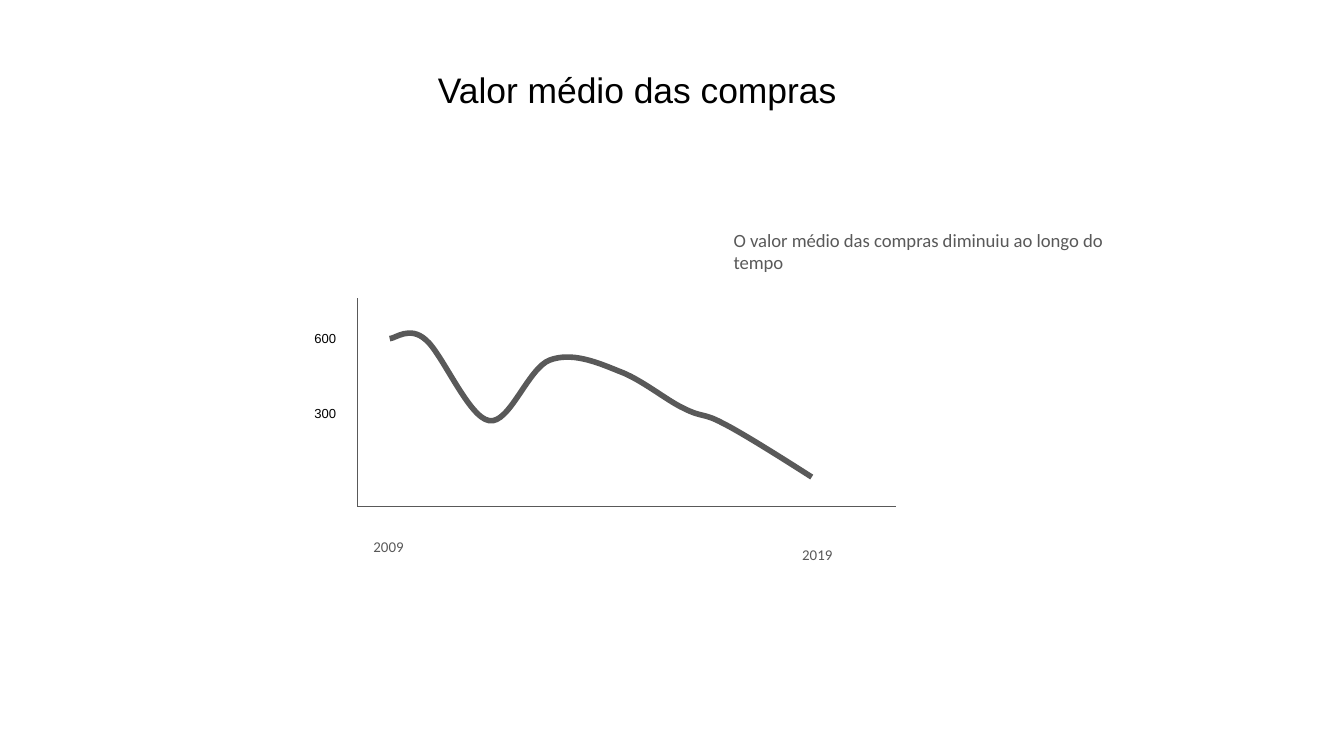
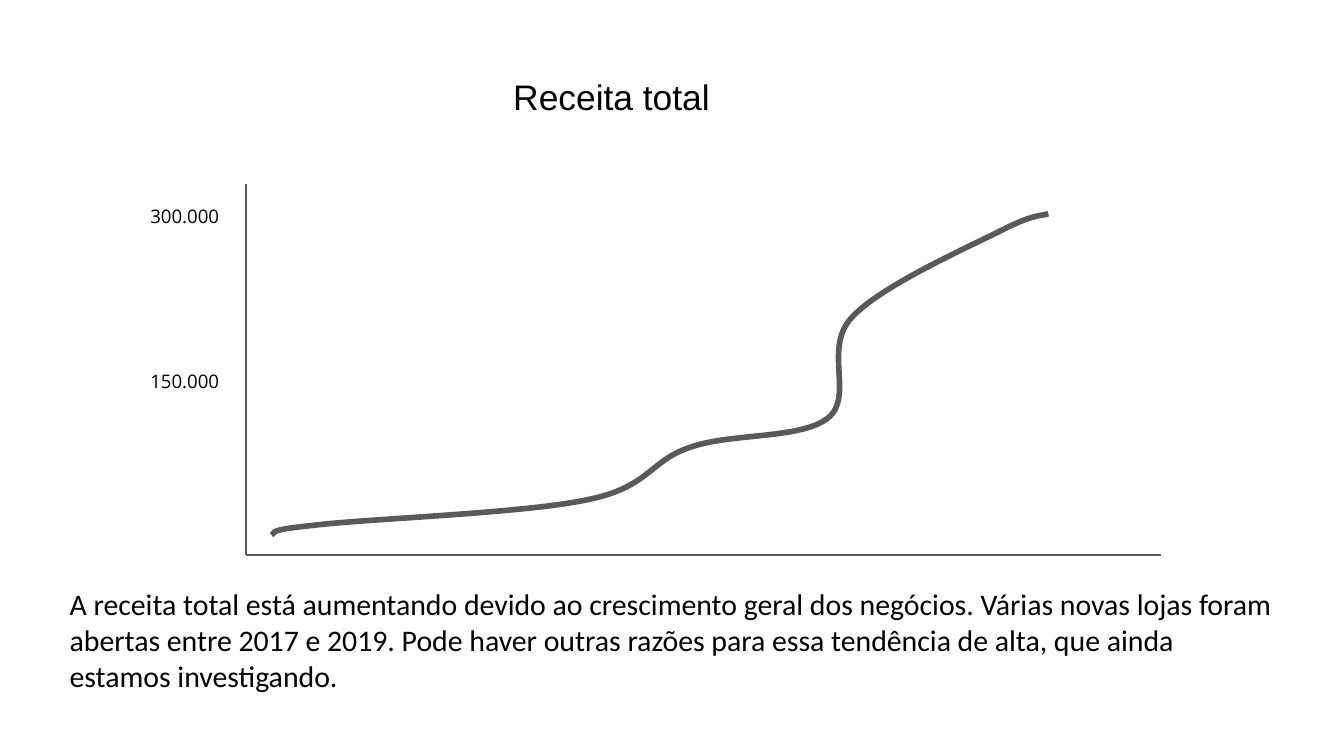
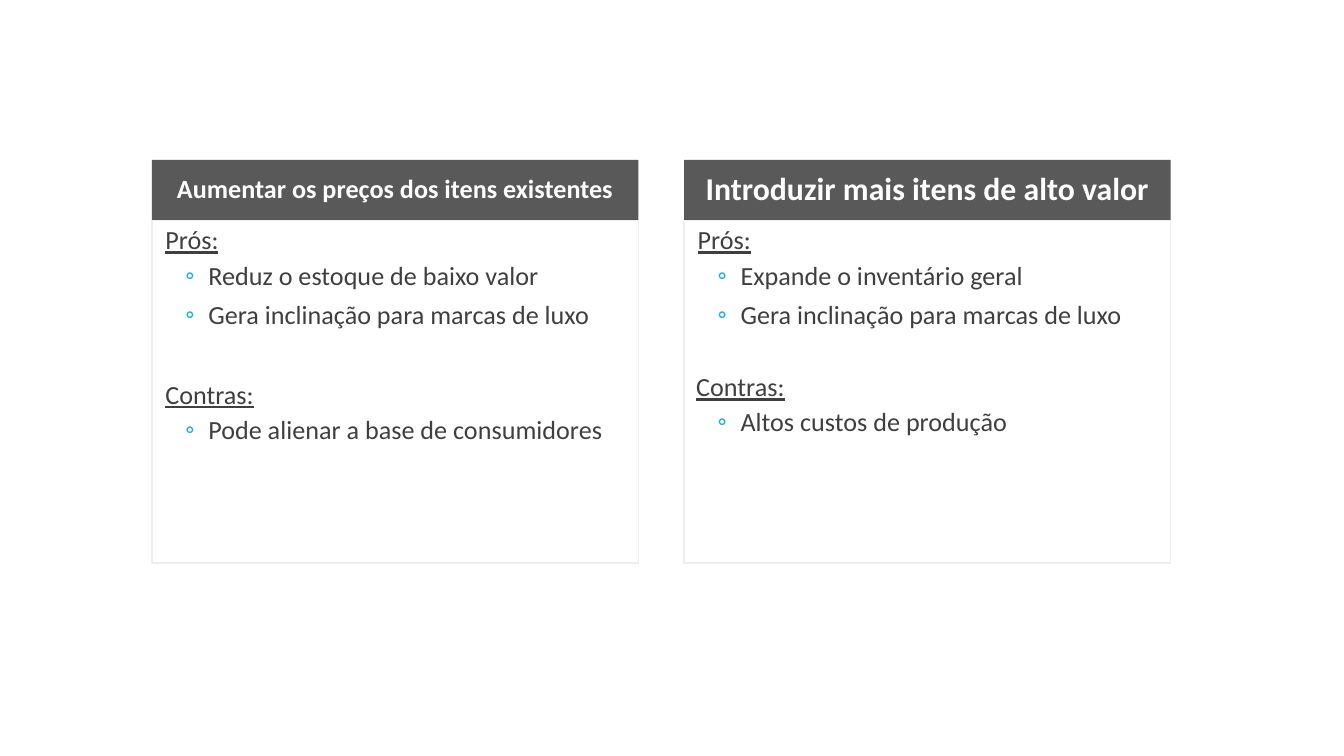
from lxml.etree import SubElement
from pptx import Presentation
from pptx.dml.color import RGBColor
from pptx.enum.shapes import MSO_CONNECTOR, MSO_SHAPE
from pptx.enum.text import MSO_ANCHOR, MSO_AUTO_SIZE, PP_ALIGN
from pptx.oxml.ns import qn
from pptx.util import Inches, Pt

GRAY, BLACK, WHITE = "595959", "000000", "FFFFFF"
BODY_COLOR, BORDER_COLOR, BULLET_COLOR = "3F3F3F", "EEEEEE", "1CADE4"
TITLE = {"name": "Arial", "size": 19, "color": BLACK}
NOTE = {"name": "Calibri", "size": 10, "color": GRAY}
YEAR = {"name": "Calibri", "size": 8, "color": GRAY}
SMALL_VALUE = {"name": "Arial", "size": 7, "color": BLACK}
LARGE_VALUE = {"name": "Open Sans", "size": 10, "color": BLACK}
EXPLANATION = {"name": "Calibri", "size": 16, "color": BLACK}
HEADER = {"name": "Calibri", "color": WHITE, "bold": True}
HEADING = {"name": "Calibri", "size": 14, "color": BODY_COLOR, "underline": True}
ITEM = {**HEADING, "underline": False}

PURCHASE_CURVE = [
    (0.24, 0.3),
    (0.28, 0.3), (0.39, 0.2), (0.51, 0.31),
    (0.63, 0.41), (0.83, 0.89), (0.98, 0.91),
    (1.13, 0.94), (1.27, 0.52), (1.43, 0.46),
    (1.59, 0.4), (1.77, 0.47), (1.94, 0.54),
    (2.11, 0.6), (2.3, 0.76), (2.43, 0.82),
    (2.57, 0.89), (2.57, 0.85), (2.72, 0.93),
    (2.88, 1.01), (3.27, 1.26), (3.38, 1.33),
]
REVENUE_CURVE = [
    (0.19, 2.61),
    (0.24, 2.6), (0.1, 2.58), (0.49, 2.54),
    (0.88, 2.49), (2.06, 2.45), (2.53, 2.35),
    (3, 2.26), (3, 2.06), (3.3, 1.96),
    (3.6, 1.85), (4.13, 1.9), (4.33, 1.74),
    (4.53, 1.58), (4.29, 1.22), (4.51, 0.99),
    (4.72, 0.76), (5.37, 0.47), (5.61, 0.35),
    (5.86, 0.22), (5.91, 0.24), (5.97, 0.22),
]


def color(value):
    """Turn a hex string into a colour."""
    return RGBColor.from_string(value)


def add_run(paragraph, text, style):
    """Add a run formatted from a dict of font values."""
    run = paragraph.add_run()
    run.text = text
    for name, value in style.items():
        if name == "color":
            run.font.color.rgb = color(value)
        else:
            setattr(run.font, name, Pt(value) if name == "size" else value)


def set_frame(frame, **values):
    """Set text frame attributes."""
    for name, value in values.items():
        setattr(frame, name, value)


def add_text(slide, box, text, style):
    """Add a wrapping text box that fits its text."""
    frame = slide.shapes.add_textbox(*map(Inches, box)).text_frame
    margin = Inches(0.1)
    set_frame(frame, word_wrap=True, auto_size=MSO_AUTO_SIZE.SHAPE_TO_FIT_TEXT,
              margin_left=margin, margin_right=margin, margin_top=margin, margin_bottom=margin)
    add_run(frame.paragraphs[0], text, style)


def add_axis(slide, start, end):
    """Draw one straight axis."""
    axis = slide.shapes.add_connector(MSO_CONNECTOR.STRAIGHT, *map(Inches, start + end))
    axis.line.color.rgb = color(GRAY)
    axis.line.width = Pt(0.75)
    SubElement(axis.element.spPr, qn("a:effectLst"))


def add_curve(slide, left, top, points):
    """Draw a smooth open curve through every third point."""
    points = [(Inches(left + x), Inches(top + y)) for x, y in points]
    builder = slide.shapes.build_freeform(*points[0])
    builder.add_line_segments(points[3::3], close=False)
    curve = builder.convert_to_shape()
    curve.shadow.inherit = False
    curve.fill.background()
    curve.line.color.rgb = color(GRAY)
    curve.line.width = Pt(3)
    segments = list(curve.element.iter(qn("a:lnTo")))
    for index, segment in enumerate(segments):
        bezier = segment.makeelement(qn("a:cubicBezTo"))
        for x, y in points[3 * index + 1:3 * index + 4]:
            SubElement(bezier, qn("a:pt"), x=str(x - curve.left), y=str(y - curve.top))
        segment.getparent().replace(segment, bezier)


def add_graph(slide, box, points, labels, label_size, style):
    """Draw both axes, the curve and the labels relative to the plot box."""
    left, top, width, height = box
    corner = (left, top + height)
    add_curve(slide, left, top, points)
    add_axis(slide, (left, top), corner)
    add_axis(slide, corner, (left + width, top + height))
    for text, x, y in labels:
        add_text(slide, (left + x, top + y, *label_size), text, style)


def add_rectangle(slide, box):
    """Add a rectangle without fill, line or shadow."""
    rectangle = slide.shapes.add_shape(MSO_SHAPE.RECTANGLE, *map(Inches, box))
    rectangle.shadow.inherit = False
    rectangle.fill.background()
    rectangle.line.fill.background()
    return rectangle


def add_paragraph(frame, text, style, indent, hanging=0, bullet=None, before=0, spacing=0.9):
    """Add an indented paragraph, with a bullet if one is given."""
    first = frame.paragraphs[0]
    paragraph = frame.add_paragraph() if first.runs else first
    paragraph.alignment = PP_ALIGN.LEFT
    paragraph.line_spacing = spacing
    paragraph.space_before = Pt(before)
    properties = paragraph._p.get_or_add_pPr()
    properties.set("marL", str(Inches(indent)))
    properties.set("indent", str(-Inches(hanging)))
    if bullet:
        paragraph.level = 1
        bullet_color = SubElement(properties, qn("a:buClr"))
        SubElement(bullet_color, qn("a:srgbClr"), val=BULLET_COLOR)
        SubElement(properties, qn("a:buFont"), typeface=style["name"])
        SubElement(properties, qn("a:buChar"), char=bullet)
    add_run(paragraph, text, style)


def add_option(slide, box, title, title_size, pros, cons, cons_format):
    """Draw one option: a header band over a list of pros and cons."""
    left, top, width, height = box
    band_height = 0.45
    band = add_rectangle(slide, (left, top, width, band_height))
    band.fill.solid()
    band.fill.fore_color.rgb = color(GRAY)
    set_frame(band.text_frame, word_wrap=True, vertical_anchor=MSO_ANCHOR.MIDDLE)
    paragraph = band.text_frame.paragraphs[0]
    paragraph.alignment = PP_ALIGN.CENTER
    paragraph.line_spacing = 0.9
    add_run(paragraph, title, {**HEADER, "size": title_size})

    panel = add_rectangle(slide, (left, top + band_height, width, height - band_height))
    panel.line.color.rgb = color(BORDER_COLOR)
    panel.line.width = Pt(0.75)
    frame = panel.text_frame
    set_frame(frame, word_wrap=True, vertical_anchor=MSO_ANCHOR.TOP, margin_left=0, margin_right=0)
    sections = [("Prós:", pros, {"indent": 0.1}), ("Contras:", cons, cons_format)]
    for heading, items, heading_format in sections:
        add_paragraph(frame, heading, HEADING, **heading_format)
        for index, item in enumerate(items):
            add_paragraph(frame, item, ITEM, 0.42, 0.17, "◦", before=6 if index else 4)


def build_purchases(slide):
    """Build the slide on the average purchase value."""
    left, top = 2.66, 2.22
    add_graph(slide, (left, top, 4.01, 1.55), PURCHASE_CURVE,
              [("600", -0.42, 0.18), ("300", -0.42, 0.74)], (0.48, 0.32), SMALL_VALUE)
    for year, x, y in [("2009", 0.02, 1.71), ("2019", 3.21, 1.77)]:
        add_text(slide, (left + x, top + y, 0.48, 0.34), year, YEAR)
    add_text(slide, (5.36, 1.6, 3, 0.37),
             "O valor médio das compras diminuiu ao longo do tempo", NOTE)
    add_text(slide, (3.16, 0.41, 3.71, 0.52), "Valor médio das compras", TITLE)


def build_revenue(slide):
    """Build the slide on total revenue."""
    add_graph(slide, (1.83, 1.37, 6.81, 2.76), REVENUE_CURVE,
              [("300.000", -0.81, 0.07), ("150.000", -0.81, 1.3)], (0.89, 0.37), LARGE_VALUE)
    add_text(slide, (3.72, 0.46, 4.32, 0.52), "Receita total", TITLE)
    add_text(slide, (0.42, 4.26, 9.16, 1.02),
             "A receita total está aumentando devido ao crescimento geral dos negócios. "
             "Várias novas lojas foram abertas entre 2017 e 2019. Pode haver outras razões "
             "para essa tendência de alta, que ainda estamos investigando.", EXPLANATION)


def build_options(slide):
    """Build the slide comparing two options."""
    luxury = "Gera inclinação para marcas de luxo"
    options = [
        ("Aumentar os preços dos itens existentes", 14,
         ["Reduz o estoque de baixo valor", luxury],
         ["Pode alienar a base de consumidores"],
         {"indent": 0.1, "before": 27.4}),
        ("Introduzir mais itens de alto valor", 17,
         ["Expande o inventário geral", luxury],
         ["Altos custos de produção"],
         {"indent": 0.09, "before": 21.4, "spacing": 1.0}),
    ]
    for index, option in enumerate(options):
        add_option(slide, (1.13 + 3.96 * index, 1.19, 3.62, 3), *option)


def main():
    """Build and save the presentation."""
    presentation = Presentation()
    presentation.slide_width = Inches(10)
    presentation.slide_height = presentation.slide_width * 9 // 16
    for build in (build_purchases, build_revenue, build_options):
        build(presentation.slides.add_slide(presentation.slide_layouts[6]))
    presentation.save("out.pptx")


if __name__ == "__main__":
    main()
